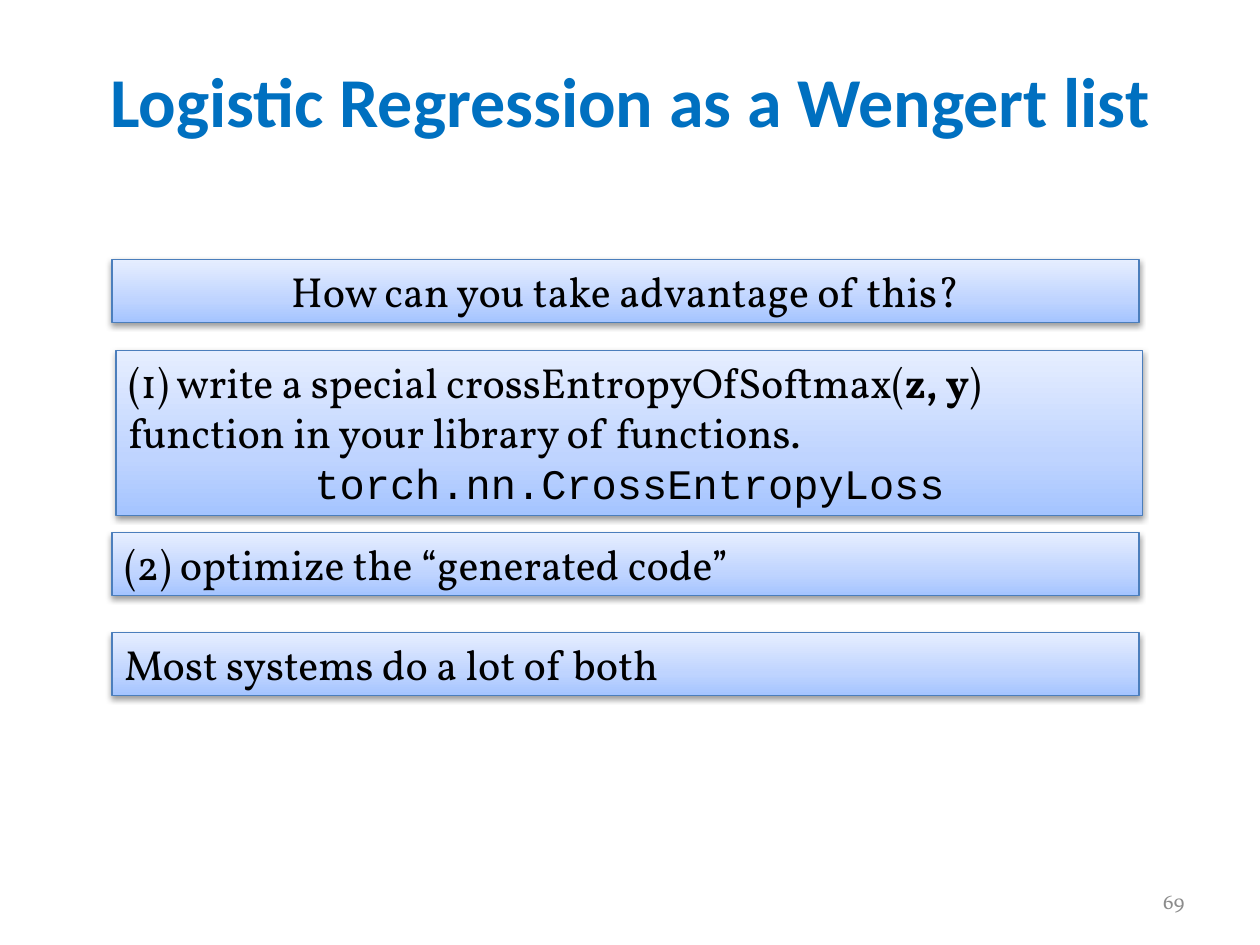
from dataclasses import dataclass

from lxml import etree
from pptx import Presentation
from pptx.dml.color import RGBColor
from pptx.enum.shapes import MSO_SHAPE
from pptx.enum.text import MSO_ANCHOR, MSO_AUTO_SIZE, PP_ALIGN
from pptx.oxml.ns import qn
from pptx.shapes.autoshape import Shape
from pptx.slide import Slide
from pptx.text.text import _Paragraph
from pptx.util import Cm, Pt

RECTANGLE = MSO_SHAPE.RECTANGLE
TOP, MIDDLE = MSO_ANCHOR.TOP, MSO_ANCHOR.MIDDLE
GROW = MSO_AUTO_SIZE.SHAPE_TO_FIT_TEXT
LEFT, CENTER, RIGHT = PP_ALIGN.LEFT, PP_ALIGN.CENTER, PP_ALIGN.RIGHT
TITLE_ONLY = 5


@dataclass(frozen=True)
class Theme:
    title_font: str = "Calibri"
    body_font: str = "Vollkorn"
    code_font: str = "Courier New"
    title_size: int = 40
    body_size: int = 24
    number_size: int = 12
    title: str = "0070C0"
    text: str = "000000"
    number: str = "8C8C8C"
    border: str = "4B7EBC"
    shadow: str = "000000"
    gradient: tuple[tuple[int, str], ...] = (
        (0, "A4C4FF"), (35, "BFD4FF"), (100, "E6EEFF"))


THEME = Theme()


@dataclass(frozen=True)
class Run:
    text: str
    font: str = THEME.body_font
    size: int = THEME.body_size
    color: str = THEME.text
    bold: bool = False


@dataclass(frozen=True)
class Line:
    runs: tuple[Run, ...]
    align: PP_ALIGN = LEFT


@dataclass(frozen=True)
class Panel:
    top: float
    lines: tuple[Line, ...]
    left: float = 2.26
    height: float = 1.27
    width: float = 20.7


PANELS = (
    Panel(5.23, (Line((Run("How can you take advantage of this?"),), CENTER),)),
    Panel(7.06, (
        Line((Run("(1) write a special crossEntropyOfSoftmax("),
              Run("z, y", bold=True),
              Run(") function in your library of functions."))),
        Line((Run("torch.nn.CrossEntropyLoss", THEME.code_font),), CENTER),
    ), left=2.34, height=3.33),
    Panel(10.74, (Line((Run("(2) optimize the “generated code”"),)),)),
    Panel(12.75, (Line((Run("Most systems do a lot of both"),)),)),
)


def write_line(p: _Paragraph, line: Line) -> None:
    p.alignment = line.align
    for run in line.runs:
        r = p.add_run()
        r.text = run.text
        r.font.name = run.font
        r.font.size = Pt(run.size)
        r.font.bold = run.bold
        r.font.color.rgb = RGBColor.from_string(run.color)


def write_lines(s: Shape, lines: tuple[Line, ...], anchor: MSO_ANCHOR) -> None:
    tf = s.text_frame
    tf.word_wrap = True
    tf.vertical_anchor = anchor
    for i, line in enumerate(lines):
        write_line(tf.add_paragraph() if i else tf.paragraphs[0], line)


def place(s: Shape, left: float, top: float, width: float, height: float) -> None:
    s.left, s.top, s.width, s.height = Cm(left), Cm(top), Cm(width), Cm(height)


def add_color(parent: etree._Element, color: str) -> etree._Element:
    return etree.SubElement(parent, qn("a:srgbClr"), val=color)


def fill_gradient(s: Shape) -> None:
    """Fill with the theme's stops, running from the bottom edge upwards."""
    s.fill.gradient()
    s.fill.gradient_angle = 90
    stops = s._element.spPr.find(".//" + qn("a:gsLst"))
    for stop in list(stops):
        stops.remove(stop)
    for percent, color in THEME.gradient:
        add_color(etree.SubElement(stops, qn("a:gs"), pos=str(percent * 1000)), color)


def add_soft_shadow(s: Shape) -> None:
    s.shadow.inherit = False
    effects = s._element.spPr.find(qn("a:effectLst"))
    shadow = etree.SubElement(effects, qn("a:outerShdw"), blurRad="40000",
                              dist="20000", dir="5400000", rotWithShape="0")
    etree.SubElement(add_color(shadow, THEME.shadow), qn("a:alpha"), val="38000")


def add_panel(slide: Slide, panel: Panel) -> None:
    s = slide.shapes.add_shape(RECTANGLE, Cm(panel.left), Cm(panel.top),
                               Cm(panel.width), Cm(panel.height))
    fill_gradient(s)
    s.line.color.rgb = RGBColor.from_string(THEME.border)
    s.line.width = Pt(0.75)
    add_soft_shadow(s)
    write_lines(s, panel.lines, TOP)
    s.text_frame.auto_size = GROW


def add_title(slide: Slide, text: str) -> None:
    s = slide.shapes.title
    place(s, 1.27, 0.76, 22.86, 2.51)
    run = Run(text, THEME.title_font, THEME.title_size, THEME.title, True)
    write_lines(s, (Line((run,), CENTER),), MIDDLE)


def add_page_number(slide: Slide, text: str) -> None:
    s = slide.shapes.add_textbox(Cm(18.21), Cm(17.65), Cm(5.92), Cm(1.02))
    run = Run(text, size=THEME.number_size, color=THEME.number)
    write_lines(s, (Line((run,), RIGHT),), MIDDLE)


def main() -> None:
    prs = Presentation()
    prs.slide_width, prs.slide_height = Cm(25.4), Cm(19.05)
    slide = prs.slides.add_slide(prs.slide_layouts[TITLE_ONLY])
    add_title(slide, "Logistic Regression as a Wengert list")
    add_page_number(slide, "69")
    for panel in PANELS:
        add_panel(slide, panel)
    prs.save("out.pptx")


if __name__ == "__main__":
    main()
